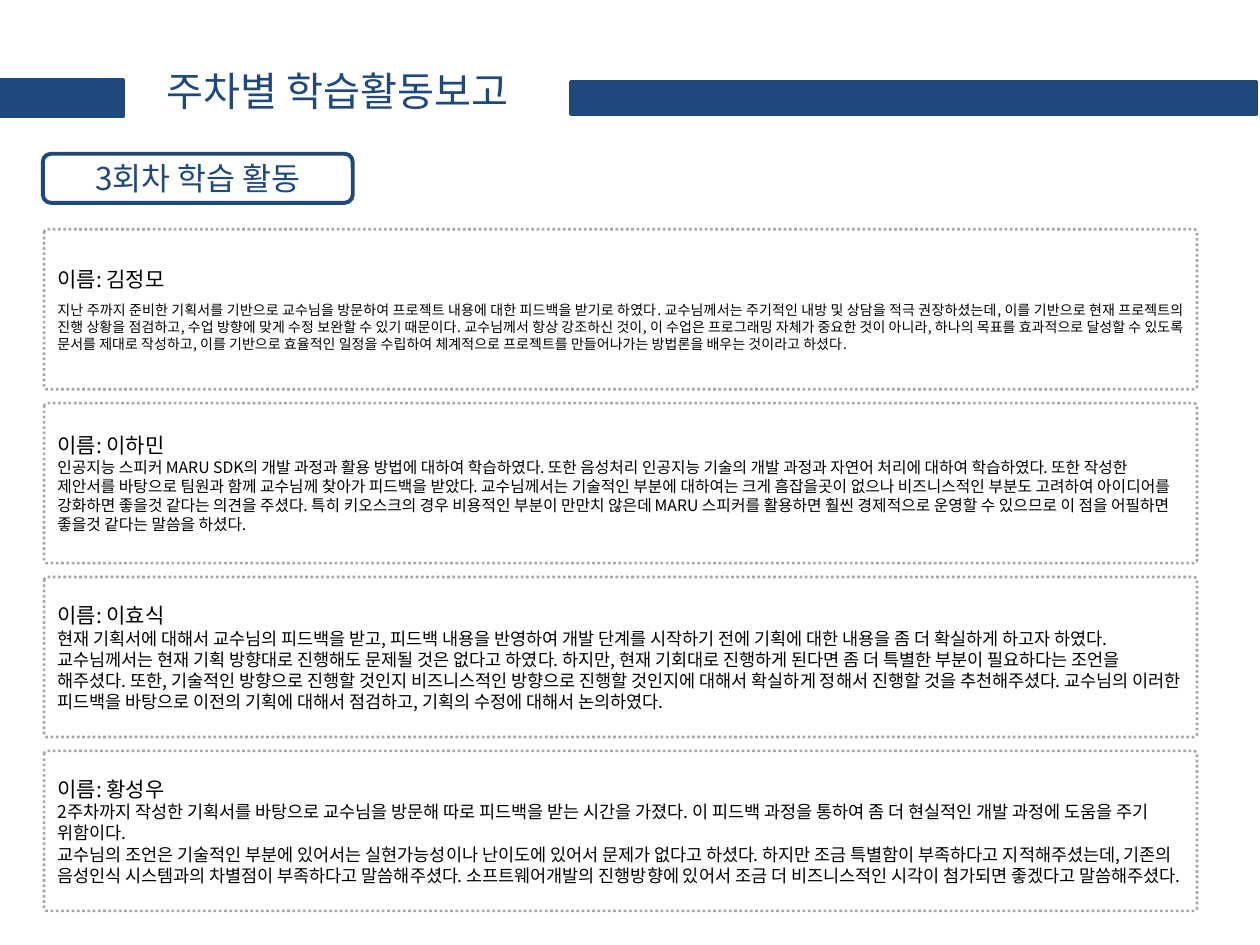
"""Build the weekly learning activity report slide."""
from dataclasses import dataclass

from lxml import etree
from pptx import Presentation
from pptx.dml.color import RGBColor
from pptx.enum import dml, shapes, text
from pptx.oxml.ns import qn
from pptx.util import Inches, Pt

FONT = "Noto Sans CJK KR"
COLORS = {"navy": "1F497D", "gray": "A6A6A6", "white": "FFFFFF", "black": "000000"}
KIND = shapes.MSO_SHAPE
ALIGN = text.PP_ALIGN
TOP, PITCH = 1.82, 1.38


@dataclass
class Box:
    """Position and size in inches."""
    left: float
    top: float
    width: float
    height: float

    def emu(self) -> list:
        """Return the four lengths for a shape call."""
        return [Inches(v) for v in (self.left, self.top, self.width, self.height)]


@dataclass
class Report:
    """One member's report."""
    name: str
    size: float
    body: list[str]
    align: ALIGN = ALIGN.LEFT
    gap: float = 0


BARS = [Box(4.53, 0.65, 5.44, 0.26), Box(-0.02, 0.63, 1, 0.29)]
REPORTS = [
    Report("김정모", 8, [
        "지난 주까지 준비한 기획서를 기반으로 교수님을 방문하여 프로젝트 내용에 대한 피드백을 받기로 하였다. "
        "교수님께서는 주기적인 내방 및 상담을 적극 권장하셨는데, 이를 기반으로 현재 프로젝트의 진행 상황을 점검하고, "
        "수업 방향에 맞게 수정 보완할 수 있기 때문이다. 교수님께서 항상 강조하신 것이, 이 수업은 프로그래밍 자체가 "
        "중요한 것이 아니라, 하나의 목표를 효과적으로 달성할 수 있도록 문서를 제대로 작성하고, 이를 기반으로 효율적인 "
        "일정을 수립하여 체계적으로 프로젝트를 만들어나가는 방법론을 배우는 것이라고 하셨다.",
    ], ALIGN.JUSTIFY, 6),
    Report("이하민", 9, [
        "인공지능 스피커 MARU SDK의 개발 과정과 활용 방법에 대하여 학습하였다. 또한 음성처리 인공지능 기술의 개발 "
        "과정과 자연어 처리에 대하여 학습하였다. 또한 작성한 제안서를 바탕으로 팀원과 함께 교수님께 찾아가 피드백을 "
        "받았다. 교수님께서는 기술적인 부분에 대하여는 크게 흠잡을곳이 없으나 비즈니스적인 부분도 고려하여 아이디어를 "
        "강화하면 좋을것 같다는 의견을 주셨다. 특히 키오스크의 경우 비용적인 부분이 만만치 않은데 MARU 스피커를 "
        "활용하면 훨씬 경제적으로 운영할 수 있으므로 이 점을 어필하면 좋을것 같다는 말씀을 하셨다.",
    ]),
    Report("이효식", 10, [
        "현재 기획서에 대해서 교수님의 피드백을 받고, 피드백 내용을 반영하여 개발 단계를 시작하기 전에 기획에 대한 "
        "내용을 좀 더 확실하게 하고자 하였다.",
        "교수님께서는 현재 기획 방향대로 진행해도 문제될 것은 없다고 하였다. 하지만, 현재 기회대로 진행하게 된다면 "
        "좀 더 특별한 부분이 필요하다는 조언을 해주셨다. 또한, 기술적인 방향으로 진행할 것인지 비즈니스적인 방향으로 "
        "진행할 것인지에 대해서 확실하게 정해서 진행할 것을 추천해주셨다. 교수님의 이러한 피드백을 바탕으로 이전의 "
        "기획에 대해서 점검하고, 기획의 수정에 대해서 논의하였다.",
    ]),
    Report("황성우", 10, [
        "2주차까지 작성한 기획서를 바탕으로 교수님을 방문해 따로 피드백을 받는 시간을 가졌다. 이 피드백 과정을 통하여 "
        "좀 더 현실적인 개발 과정에 도움을 주기 위함이다.",
        "교수님의 조언은 기술적인 부분에 있어서는 실현가능성이나 난이도에 있어서 문제가 없다고 하셨다. 하지만 조금 "
        "특별함이 부족하다고 지적해주셨는데, 기존의 음성인식 시스템과의 차별점이 부족하다고 말씀해주셨다. "
        "소프트웨어개발의 진행방향에 있어서 조금 더 비즈니스적인 시각이 첨가되면 좋겠다고 말씀해주셨다.",
    ]),
]


def rgb(key: str) -> RGBColor:
    """Look up a colour."""
    return RGBColor.from_string(COLORS[key])


def write(par, words: str, size: float, color: str, align: ALIGN) -> None:
    """Fill and style one paragraph."""
    par.text = words
    par.alignment = align
    par.font.size = Pt(size)
    par.font.color.rgb = rgb(color)
    par.font.name = FONT
    base = par._p.pPr.find(qn("a:defRPr"))
    etree.SubElement(base, qn("a:ea"), typeface=FONT)


def draw(slide, kind: KIND, box: Box, fill: str | None, line: str, width: float):
    """Add a flat shape with an outline."""
    shape = slide.shapes.add_shape(kind, *box.emu())
    shape.shadow.inherit = False
    if fill:
        shape.fill.solid()
        shape.fill.fore_color.rgb = rgb(fill)
    else:
        shape.fill.background()
    shape.line.color.rgb = rgb(line)
    shape.line.width = Pt(width)
    return shape


def card(slide, row: int, item: Report) -> None:
    """Draw one member's dotted panel."""
    box = Box(0.35, TOP + row * PITCH, 9.15, 1.27)
    shape = draw(slide, KIND.ROUNDED_RECTANGLE, box, None, "gray", 1.5)
    shape.adjustments[0] = 0.02
    shape.line.dash_style = dml.MSO_LINE.ROUND_DOT
    frame = shape.text_frame
    frame.vertical_anchor = text.MSO_ANCHOR.MIDDLE
    write(frame.paragraphs[0], f"이름: {item.name}", 12, "black", item.align)
    for words in item.body:
        par = frame.add_paragraph()
        write(par, words, item.size, "black", item.align)
        par.space_before = Pt(item.gap)


def main() -> None:
    """Build and save the slide."""
    deck = Presentation()
    deck.slide_width, deck.slide_height = Inches(10), Inches(7.5)
    slide = deck.slides.add_slide(deck.slide_layouts[6])
    for bar in BARS:
        draw(slide, KIND.RECTANGLE, bar, "navy", "navy", 2)
    title = slide.shapes.add_textbox(*Box(1.22, 0.48, 3.31, 0.49).emu()).text_frame
    title.word_wrap = True
    write(title.paragraphs[0], "주차별 학습활동보고", 23, "navy", ALIGN.LEFT)
    badge = draw(slide, KIND.ROUNDED_RECTANGLE, Box(0.34, 1.22, 2.46, 0.39),
                 "white", "navy", 2.25).text_frame
    badge.vertical_anchor = text.MSO_ANCHOR.MIDDLE
    write(badge.paragraphs[0], "3회차 학습 활동", 18, "navy", ALIGN.CENTER)
    for row, item in enumerate(REPORTS):
        card(slide, row, item)
    deck.save("out.pptx")


if __name__ == "__main__":
    main()
